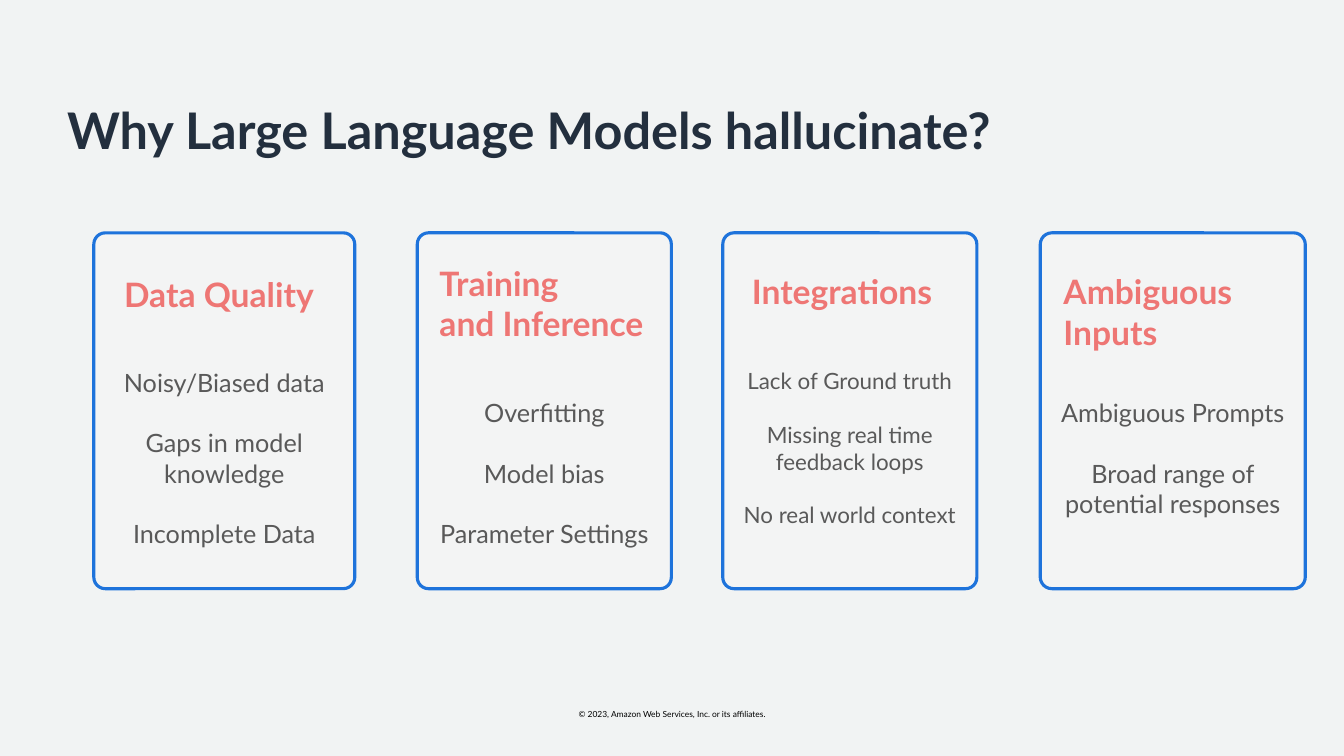
import pptx
import pptx.util
import pptx.dml.color
import pptx.enum.shapes
import pptx.enum.text
import pptx.oxml

SLIDE_WIDTH = pptx.util.Inches(13.33)
SLIDE_HEIGHT = pptx.util.Inches(7.5)
FONT = "Lato"
INK, CORAL, GREY, BLUE = "232F3E", "EE7674", "595959", "1E73DB"
LINE_HEIGHT = 1.2

TITLE = "Why Large Language Models hallucinate?"
COPYRIGHT = "© 2023, Amazon Web Services, Inc. or its affiliates."

# Places are percentages of the slide: left and width of its width,
# top and height of its height. "inset" is in inches, "size" in points.
CARD_TOP, CARD_HEIGHT = 30.8, 47.07
CAUSES = [
    {"heading": ["Data Quality"], "heading_at": (9.23, 35.6, 15, 12.13),
     "card": (6.98, 19.42), "inset": 1.3, "size": 18,
     "reasons": ["Noisy/Biased data", "Gaps in model knowledge", "Incomplete Data"]},
    {"heading": ["Training", "and Inference"], "heading_at": (32.7, 34.13, 16.35, 12.13),
     "card": (31.05, 18.9), "inset": 1.6, "size": 18,
     "reasons": ["Overfitting", "Model bias", "Parameter Settings"]},
    {"heading": ["Integrations"], "heading_at": (55.95, 35.2, 14.55, 6.67),
     "card": (53.78, 18.9), "inset": 1.3, "size": 16,
     "reasons": ["Lack of Ground truth", "Missing real time feedback loops",
                 "No real world context"]},
    {"heading": ["Ambiguous Inputs"], "heading_at": (79.13, 35.2, 13.88, 12.13),
     "card": (77.4, 19.72), "inset": 1.6, "size": 18,
     "reasons": ["Ambiguous Prompts", "Broad range of potential responses"]},
]


def rgb(code):
    return pptx.dml.color.RGBColor.from_string(code)


def place(left, top, width, height):
    """Turn percentages of the slide into lengths."""
    return (int(SLIDE_WIDTH * left / 100), int(SLIDE_HEIGHT * top / 100),
            int(SLIDE_WIDTH * width / 100), int(SLIDE_HEIGHT * height / 100))


def write(shape, lines, size, color, bold=False, align="LEFT", side=0, top=0.05,
          bottom=0.05, gap=0, spacing=None):
    """Fill a shape with one paragraph per line; gap is the points between them."""
    frame = shape.text_frame
    frame.word_wrap = True
    frame.vertical_anchor = pptx.enum.text.MSO_ANCHOR.TOP
    frame.margin_left = frame.margin_right = pptx.util.Inches(side)
    frame.margin_top = pptx.util.Inches(top)
    frame.margin_bottom = pptx.util.Inches(bottom)
    for index, line in enumerate(lines):
        paragraph = frame.add_paragraph() if index else frame.paragraphs[0]
        paragraph.alignment = pptx.enum.text.PP_ALIGN[align]
        if index and gap:
            paragraph.space_before = pptx.util.Pt(gap)
        if spacing:
            paragraph.line_spacing = spacing
        run = paragraph.add_run()
        run.text = line
        run.font.name = FONT
        run.font.size = pptx.util.Pt(size)
        run.font.bold = bold
        run.font.color.rgb = rgb(color)


def add_text(slide, at, lines, **style):
    write(slide.shapes.add_textbox(*place(*at)), lines, **style)


def add_card(slide, left, width):
    """Draw a rounded card with a faint white fill."""
    card = slide.shapes.add_shape(pptx.enum.shapes.MSO_SHAPE.ROUNDED_RECTANGLE,
                                  *place(left, CARD_TOP, width, CARD_HEIGHT))
    card.adjustments[0] = 0.044
    card.shadow.inherit = False
    card.fill.solid()
    card.fill.fore_color.rgb = rgb("FFFFFF")
    white = card.fill._xPr.find(".//" + pptx.oxml.ns.qn("a:srgbClr"))
    white.append(pptx.oxml.parse_xml(
        f'<a:alpha {pptx.oxml.ns.nsdecls("a")} val="16000"/>'))
    card.line.color.rgb = rgb(BLUE)
    card.line.width = pptx.util.Pt(2.25)
    return card


def main():
    deck = pptx.Presentation()
    deck.slide_width, deck.slide_height = SLIDE_WIDTH, SLIDE_HEIGHT
    slide = deck.slides.add_slide(deck.slide_layouts[6])
    slide.background.fill.solid()
    slide.background.fill.fore_color.rgb = rgb("F1F3F3")

    add_text(slide, (42, 93.2, 16, 2.67), [COPYRIGHT], size=6, color="000000",
             align="CENTER")
    add_text(slide, (5, 13.33, 90, 8.67), [TITLE], size=36, color=INK, bold=True,
             spacing=0.9)
    for cause in CAUSES:
        write(add_card(slide, *cause["card"]), cause["reasons"], size=cause["size"],
              color=GREY, align="CENTER", side=0.05, top=cause["inset"], bottom=0.1,
              gap=cause["size"] * LINE_HEIGHT)
        add_text(slide, cause["heading_at"], cause["heading"], size=24, color=CORAL,
                 bold=True)
    deck.save("out.pptx")


if __name__ == "__main__":
    main()
